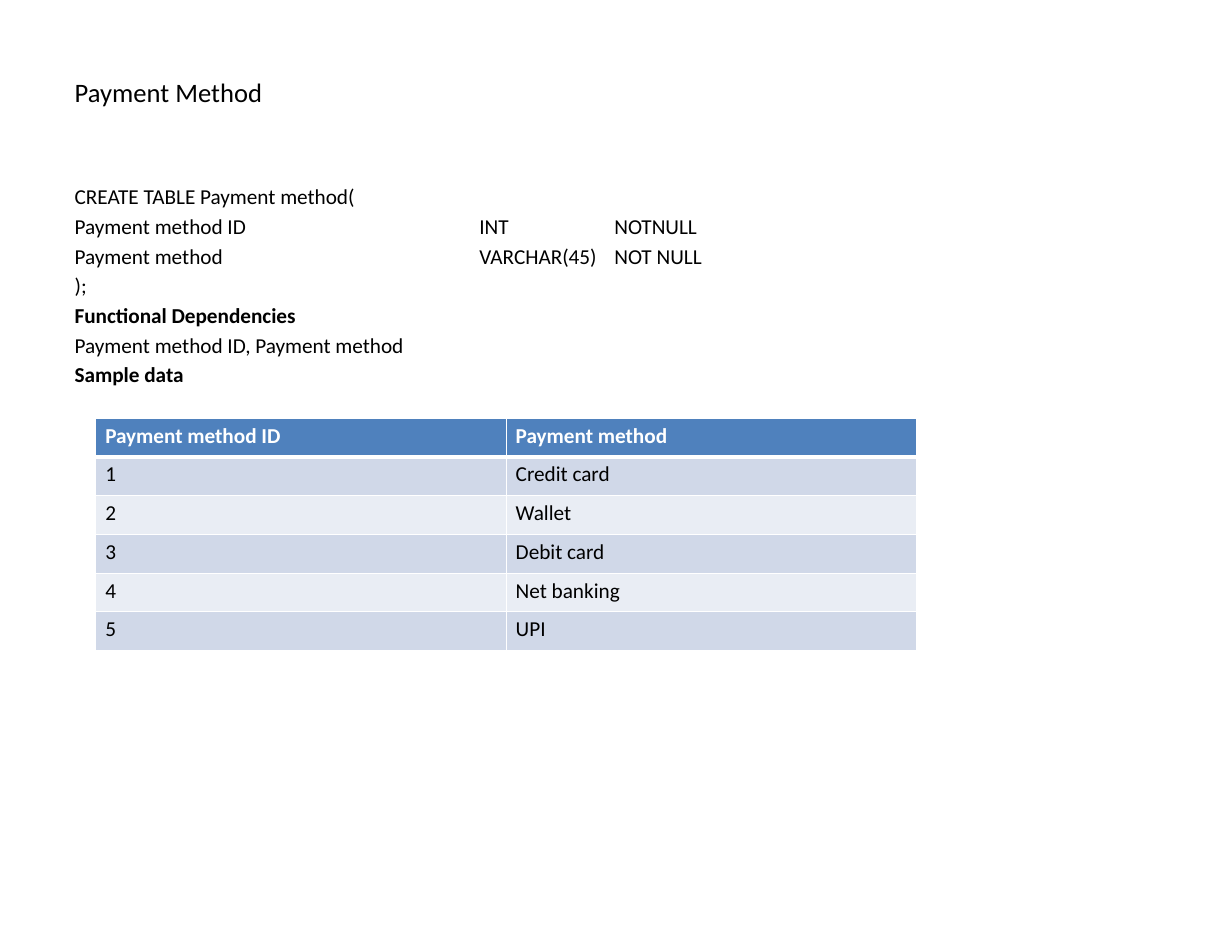
from lxml import etree
from pptx import Presentation
from pptx.dml.color import RGBColor
from pptx.enum import text
from pptx.oxml import ns
from pptx.util import Inches, Pt

FONT = "Calibri"
PIXELS_PER_INCH = 96
COLORS = {
    "text": "000000",
    "header": "4F81BD",
    "header_text": "FFFFFF",
    "odd_row": "D0D8E8",
    "even_row": "E9EDF4",
    "border": "FFFFFF",
}
SCHEMA_LINES = [
    ("CREATE TABLE Payment method(", False),
    ("Payment method ID\tINT\tNOTNULL", False),
    ("Payment method\tVARCHAR(45)\tNOT NULL", False),
    (");", False),
    ("Functional Dependencies", True),
    ("Payment method ID, Payment method", False),
    ("Sample data", True),
]
TAB_STOPS = (4.23, 5.64)
SAMPLE_HEADER = ("Payment method ID", "Payment method")
METHODS = ("Credit card", "Wallet", "Debit card", "Net banking", "UPI")


def color(name):
    return RGBColor.from_string(COLORS[name])


def format_paragraph(paragraph, size, color_name="text", bold=False):
    paragraph.alignment = text.PP_ALIGN.LEFT
    font = paragraph.font
    font.name, font.size, font.bold = FONT, Pt(size), bold
    font.color.rgb = color(color_name)


def set_margins(frame):
    frame.word_wrap = True
    frame.margin_left = frame.margin_right = Inches(0.14)
    frame.margin_top = frame.margin_bottom = Inches(0.07)


def add_title(slide, title):
    heading = slide.shapes.title
    heading.left, heading.top = Inches(0.64), Inches(0.39)
    heading.width, heading.height = Inches(11.59), Inches(1.14)
    frame = heading.text_frame
    frame.text = title
    set_margins(frame)
    frame.vertical_anchor = text.MSO_ANCHOR.MIDDLE
    format_paragraph(frame.paragraphs[0], 20)


def add_tab_stops(paragraph):
    stops = etree.SubElement(paragraph._p.get_or_add_pPr(), ns.qn("a:tabLst"))
    for position in TAB_STOPS:
        etree.SubElement(stops, ns.qn("a:tab"), pos=str(Inches(position)), algn="l")


def add_schema(slide):
    schema = slide.shapes.add_textbox(
        Inches(0.64), Inches(1.85), Inches(11.59), Inches(6.94))
    frame = schema.text_frame
    set_margins(frame)
    for index, (line, bold) in enumerate(SCHEMA_LINES):
        paragraph = frame.add_paragraph() if index else frame.paragraphs[0]
        paragraph.text = line
        paragraph.space_before = Pt(3.1)
        if "\t" in line:
            add_tab_stops(paragraph)
        format_paragraph(paragraph, 16, bold=bold)


def set_borders(cell, widths):
    """Draw the cell's edges; widths maps L, R, T and B to points."""
    properties = cell._tc.get_or_add_tcPr()
    for position, (side, width) in enumerate(widths.items()):
        line = etree.Element(ns.qn(f"a:ln{side}"), w=str(Pt(width)))
        fill = etree.SubElement(line, ns.qn("a:solidFill"))
        etree.SubElement(fill, ns.qn("a:srgbClr"), val=COLORS["border"])
        properties.insert(position, line)


def add_sample_table(slide):
    rows = [SAMPLE_HEADER]
    rows += [(str(number), method) for number, method in enumerate(METHODS, 1)]
    table = slide.shapes.add_table(
        len(rows), len(SAMPLE_HEADER),
        Inches(1), Inches(4.37), Inches(8.58), Inches(2.43)).table
    for row, values in enumerate(rows):
        is_header = row == 0
        fill = "header" if is_header else "odd_row" if row % 2 else "even_row"
        for column, value in enumerate(values):
            cell = table.cell(row, column)
            cell.text = value
            cell.fill.solid()
            cell.fill.fore_color.rgb = color(fill)
            format_paragraph(cell.text_frame.paragraphs[0], 16,
                             "header_text" if is_header else "text", is_header)
            set_borders(cell, {"L": 1, "R": 1, "T": 3 if row == 1 else 1,
                               "B": 3 if is_header else 1})


def main():
    deck = Presentation()
    deck.slide_width = Inches(1236 / PIXELS_PER_INCH)
    deck.slide_height = Inches(945 / PIXELS_PER_INCH)
    slide = deck.slides.add_slide(deck.slide_layouts[5])
    add_title(slide, "Payment Method")
    add_schema(slide)
    add_sample_table(slide)
    deck.save("out.pptx")


if __name__ == "__main__":
    main()
